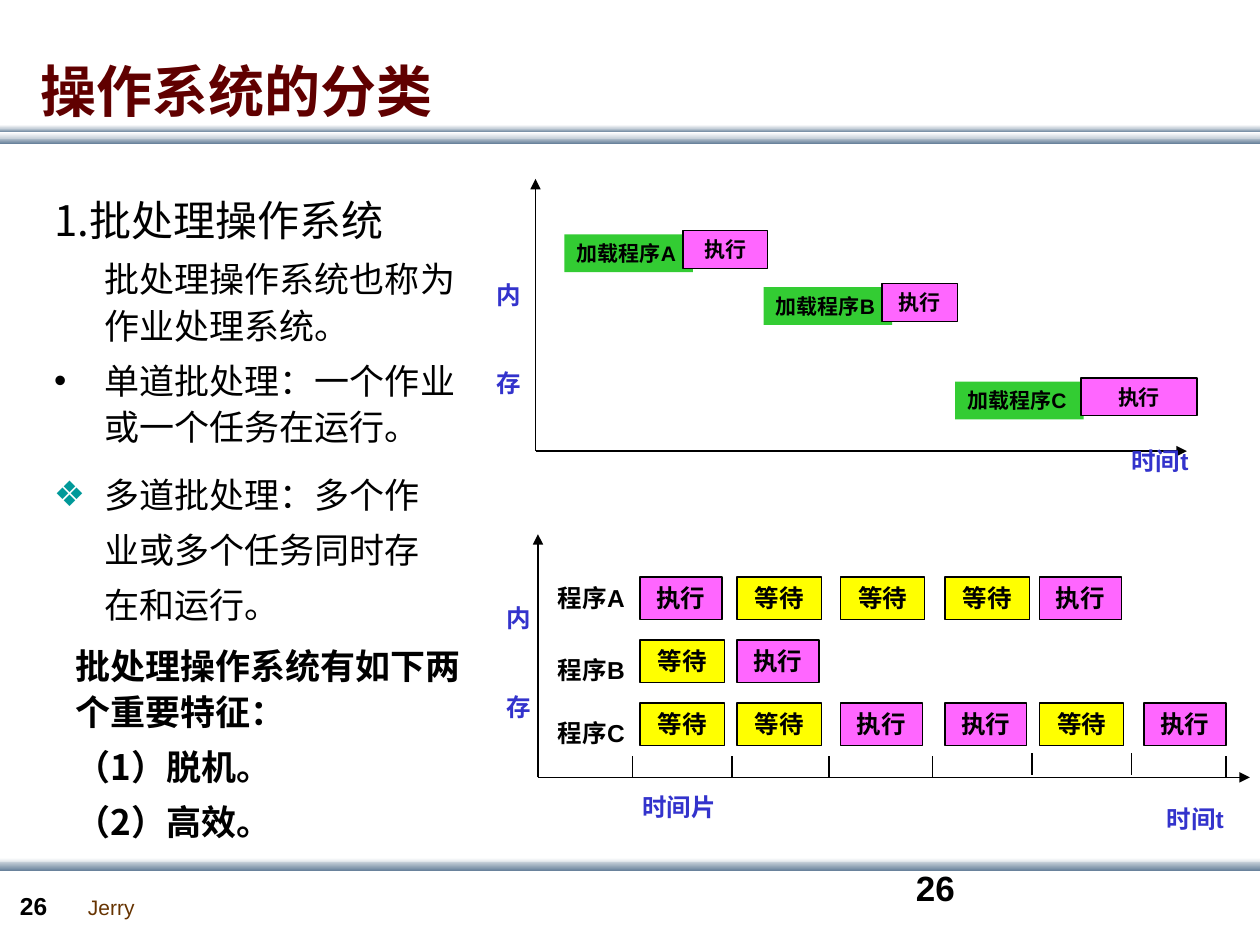
from pptx import Presentation
from pptx.dml.color import RGBColor
from pptx.enum.shapes import MSO_CONNECTOR, MSO_SHAPE
from pptx.enum.text import MSO_ANCHOR, MSO_AUTO_SIZE, PP_ALIGN
from pptx.oxml.ns import qn
from pptx.util import Emu, Pt
from lxml.etree import SubElement

PX = 9144  # 100 px to the inch
CJK = "Noto Sans CJK SC"
BLACK, BLUE, GREEN, PINK, YELLOW = "000000", "3333CC", "33CC33", "FF66FF", "FFFF00"
KINDS = {"R": ("执行", PINK, 65), "W": ("等待", YELLOW, 67)}


def px(value):
    return Emu(value * PX)


def color(value):
    return RGBColor.from_string(value)


def place(shape, left, top, width, height):
    shape.left, shape.top, shape.width, shape.height = map(px, (left, top, width, height))


def set_bullet(para, char, tint):
    props = para._p.get_or_add_pPr()
    if not char:
        SubElement(props, qn("a:buNone"))
        return
    SubElement(SubElement(props, qn("a:buClr")), qn("a:srgbClr")).set("val", tint)
    SubElement(props, qn("a:buFont")).set("typeface", "Arial")
    SubElement(props, qn("a:buChar")).set("char", char)


def write(para, text, size=14, font="Arial", tint=BLACK, bold=True, align=PP_ALIGN.LEFT,
          before=0, spacing=None, margin=0, indent=0, bullet=None, bullet_tint=BLACK):
    set_bullet(para, bullet, bullet_tint)
    props = para._p.get_or_add_pPr()
    props.set("marL", str(px(margin)))
    props.set("indent", str(px(indent)))
    para.alignment = align
    para.space_before = Pt(before)
    if spacing:
        para.line_spacing = Pt(spacing)
    span = para.add_run()
    span.text = text
    span.font.size, span.font.bold, span.font.name = Pt(size), bold, font
    span.font.color.rgb = color(tint)
    if font == CJK:
        SubElement(span._r.get_or_add_rPr(), qn("a:ea")).set("typeface", font)


def write_lines(shape, lines, wrap=True, **common):
    frame = shape.text_frame
    frame.word_wrap = wrap
    frame.auto_size = MSO_AUTO_SIZE.NONE
    for index, (text, options) in enumerate(lines):
        para = frame.add_paragraph() if index else frame.paragraphs[0]
        write(para, text, **{**common, **options})


def add_label(page, left, top, width, height, *lines, wrap=False, **common):
    box = page.shapes.add_textbox(*map(px, (left, top, width, height)))
    write_lines(box, lines, wrap, **common)


def add_block(page, left, top, width, height, text, fill, outline=True, **options):
    block = page.shapes.add_shape(MSO_SHAPE.RECTANGLE, *map(px, (left, top, width, height)))
    block.shadow.inherit = False
    block.fill.solid()
    block.fill.fore_color.rgb = color(fill)
    if outline:
        block.line.color.rgb = color(BLACK)
        block.line.width = Pt(0.75)
    else:
        block.line.fill.background()
    block.text_frame.vertical_anchor = MSO_ANCHOR.TOP
    write_lines(block, [(text, options)], outline)


def add_line(page, start, end, arrow=False):
    line = page.shapes.add_connector(MSO_CONNECTOR.STRAIGHT, *map(px, (*start, *end)))
    line.line.color.rgb = color(BLACK)
    line.line.width = Pt(0.75)
    if arrow:
        SubElement(line.line._get_or_add_ln(), qn("a:tailEnd")).set("type", "triangle")
    SubElement(line._element.spPr, qn("a:effectLst"))


def add_bands(page):
    pale, steel, white = "C8D1DA", "6A839C", "FFFFFF"
    bands = [(109, 5, pale, steel), (102, 3, pale, steel), (105, 5, white, pale),
             (99, 3, white, pale), (681, 5, white, pale), (684, 7, pale, steel)]
    for top, height, first, last in bands:
        band = page.shapes.add_shape(MSO_SHAPE.RECTANGLE, *map(px, (0, top, 1000, height)))
        band.shadow.inherit = False
        band.line.fill.background()
        band.fill.gradient()
        band.fill.gradient_angle = 270
        for stop, tint in zip(band.fill.gradient_stops, (first, last)):
            stop.color.rgb = color(tint)


def add_footer(page):
    add_label(page, 60, 705, 57, 30, ("Jerry", {}), size=12, tint="663300", bold=False)
    add_label(page, 6, 702, 55, 34, ("26", {}), wrap=True)
    add_label(page, 717, 683, 208, 50, ("26", {}), wrap=True, size=20)


def add_text_column(page, left, top):
    body = page.placeholders[1]
    place(body, left, top, 342, 226)
    hanging = dict(margin=40, indent=-40)
    write_lines(body, [
        ("1.批处理操作系统", dict(size=24, spacing=34, before=0, **hanging)),
        ("批处理操作系统也称为作业处理系统。", dict(margin=40)),
        ("单道批处理：一个作业或一个任务在运行。", dict(bullet="•", **hanging)),
    ], size=20, font=CJK, bold=False, before=5, spacing=26.5)
    add_label(page, left, top + 219, 333, 140,
              ("多道批处理：多个作业或多个任务同时存在和运行。", hanging), wrap=True, size=20,
              font=CJK, bold=False, spacing=31.3, bullet="❖", bullet_tint="009999")
    add_label(page, left + 17, top + 361, 342, 171,
              ("批处理操作系统有如下两个重要特征：", {}),
              ("（1）脱机。", dict(before=5)), ("（2）高效。", dict(before=5)),
              wrap=True, size=20, font=CJK, spacing=26.5)


def add_axes(page, left, top, width, height):
    """Memory axis upwards and time axis to the right; left and top mark the corner."""
    origin = (left, top + height)
    add_line(page, origin, (left, top), arrow=True)
    add_line(page, origin, (left + width, top + height), arrow=True)


def add_axis_names(page, memory_at, time_at):
    add_label(page, *memory_at, 39, 104, ("内", {}), ("存", dict(before=34)), tint=BLUE)
    add_label(page, *time_at, 70, 34, ("时间t", {}), tint=BLUE)


def add_single_batch(page, left, top):
    # Each program is loaded, then runs alone
    for name, x, y, run_width in [("A", 64, 44, 67), ("B", 222, 86, 60), ("C", 374, 161, 92)]:
        add_block(page, left + x, top + y, 102, 30, "加载程序" + name, GREEN,
                  outline=False, size=12)
        run_left = x + (100 if name == "C" else 94)
        add_block(page, left + run_left, top + y - 3, run_width, 30, "执行", PINK,
                  size=12, align=PP_ALIGN.CENTER)
    add_axes(page, left + 41, top, 517, 216)
    add_axis_names(page, (left, top + 75), (left + 504, top + 207))


def add_multi_batch(page, left, top):
    # Rows of programs; R runs, W waits
    columns = [116, 193, 275, 358, 433, 516]
    rows = [("A", 34, "RWWWR"), ("B", 84, "WR"), ("C", 134, "WWRRWR")]
    for name, y, states in rows:
        add_label(page, left + 41, top + y + (7 if name != "A" else 0), 78, 34,
                  ("程序" + name, {}))
        for x, state in zip(columns, states):
            text, fill, width = KINDS[state]
            add_block(page, left + x, top + y, width, 34, text, fill, align=PP_ALIGN.CENTER)
    # Axes and time slices
    add_axis_names(page, (left, top + 50), (left + 524, top + 209))
    add_label(page, left + 108, top + 200, 78, 34, ("时间片", {}), tint=BLUE)
    add_axes(page, left + 35, top, 565, 193)
    for x, lift in [(110, 0), (189, 0), (266, 0), (348, 0), (427, 2), (506, 2), (581, 0)]:
        add_line(page, (left + x, top + 176 - lift), (left + x, top + 193 - lift))


def main():
    deck = Presentation()
    deck.slide_width, deck.slide_height = px(1000), px(750)
    page = deck.slides.add_slide(deck.slide_layouts[1])
    add_bands(page)
    add_footer(page)
    title = page.shapes.title
    place(title, 22, 44, 960, 55)
    title.text_frame.vertical_anchor = MSO_ANCHOR.MIDDLE
    write_lines(title, [("操作系统的分类", {})], size=32, font=CJK, tint="600000")
    add_text_column(page, 33, 142)
    add_single_batch(page, 384, 142)
    add_multi_batch(page, 392, 424)
    deck.save("out.pptx")


if __name__ == "__main__":
    main()
